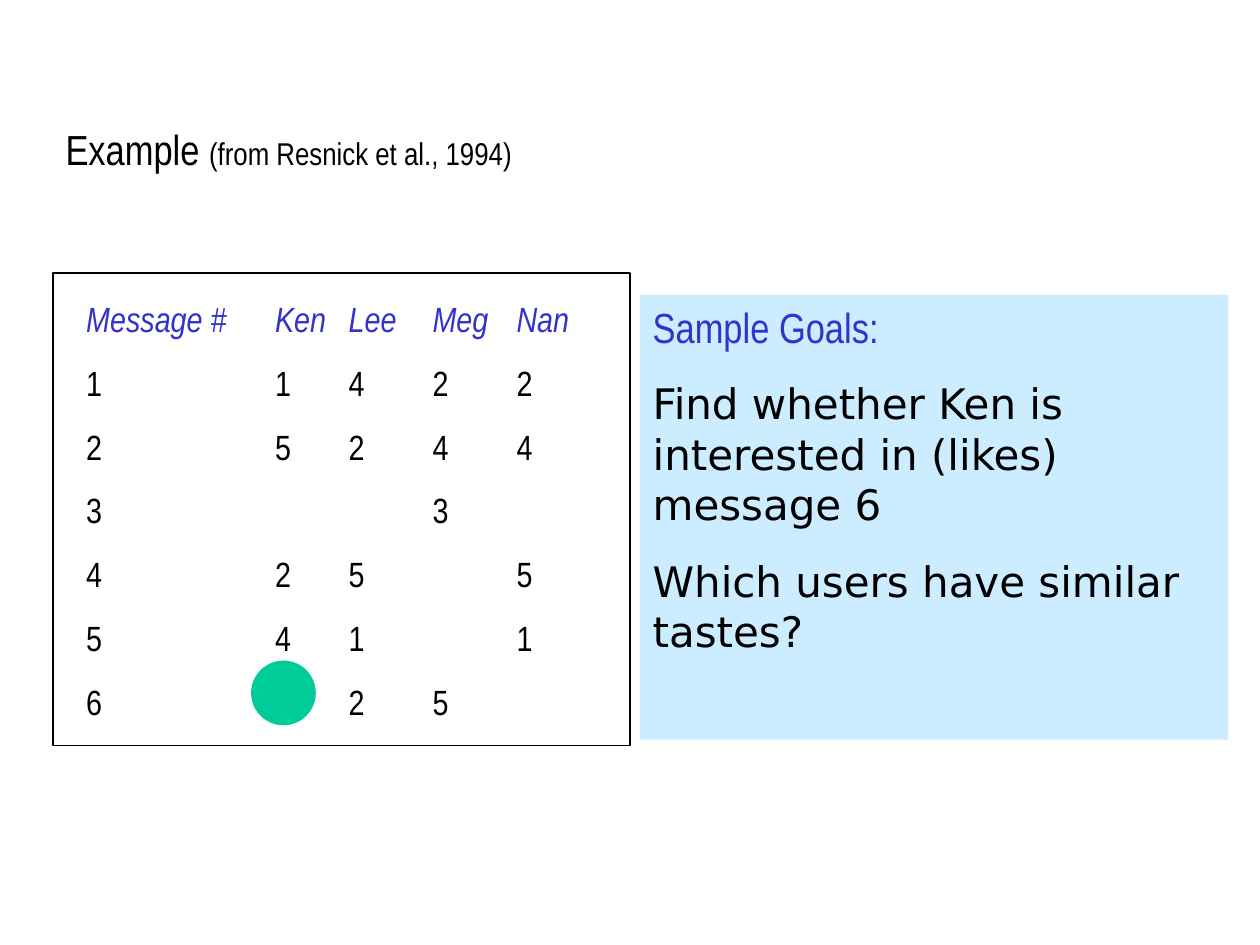
from lxml import etree
from pptx import Presentation
from pptx.dml.color import RGBColor
from pptx.enum.shapes import MSO_SHAPE
from pptx.enum.text import MSO_ANCHOR, MSO_AUTO_SIZE, PP_ALIGN
from pptx.oxml.ns import qn
from pptx.util import Pt

LEFT, TOP, MIDDLE = PP_ALIGN.LEFT, MSO_ANCHOR.TOP, MSO_ANCHOR.MIDDLE
NO_AUTOFIT = MSO_AUTO_SIZE.NONE
OVAL, RECTANGLE = MSO_SHAPE.OVAL, MSO_SHAPE.RECTANGLE

THEME = {
    "ink": RGBColor(0x00, 0x00, 0x00),
    "accent": RGBColor(0x33, 0x33, 0xCC),
    "panel": RGBColor(0xCC, 0xEC, 0xFF),
    "marker": RGBColor(0x00, 0xCC, 0x99),
    "narrow": "Arial Narrow",
    "wide": "DejaVu Sans",
    "large": Pt(24),
    "medium": Pt(20),
    "small": Pt(18),
}


def add_span(para, text, color, size, face="narrow", italic=False):
    span = para.add_run()
    span.text = text
    font_values = {"name": THEME[face], "size": THEME[size], "italic": italic}
    for name, value in font_values.items():
        setattr(span.font, name, value)
    span.font.color.rgb = THEME[color]


def place(box, left, top, width, height):
    box.left, box.top, box.width, box.height = map(Pt, (left, top, width, height))


deck = Presentation()
deck.slide_width, deck.slide_height = Pt(720), Pt(540)
page = deck.slides.add_slide(deck.slide_layouts[1])
title, goals = page.placeholders

# Title
place(title, 30.24, 67, 545.76, 36)
frame_values = {"vertical_anchor": MIDDLE, "auto_size": NO_AUTOFIT, "word_wrap": True}
for name, value in frame_values.items():
    setattr(title.text_frame, name, value)
para = title.text_frame.paragraphs[0]
para.alignment = LEFT
add_span(para, "Example ", "ink", "large")
add_span(para, "(from Resnick et al., 1994)", "ink", "small")

# Sample goals
place(goals, 365.76, 168.5, 336.24, 254.2)
goals.fill.solid()
goals.fill.fore_color.rgb = THEME["panel"]
frame_values["vertical_anchor"] = TOP
for name, value in frame_values.items():
    setattr(goals.text_frame, name, value)
goal_lines = [
    ("Sample Goals:", "accent", "narrow"),
    ("Find whether Ken is interested in (likes) message 6", "ink", "wide"),
    ("Which users have similar tastes?", "ink", "wide"),
]
for index, (text, color, face) in enumerate(goal_lines):
    para = goals.text_frame.add_paragraph() if index else goals.text_frame.paragraphs[0]
    para.space_before = Pt(15)
    properties = para._p.get_or_add_pPr()
    properties.set("marL", "0")
    properties.set("indent", "0")
    etree.SubElement(properties, qn("a:buNone"))
    add_span(para, text, color, "large", face)

# Ratings of each message by each user
ratings = [
    ("Message #", "Ken", "Lee", "Meg", "Nan"),
    ("1", "1", "4", "2", "2"),
    ("2", "5", "2", "4", "4"),
    ("3", "", "", "3", ""),
    ("4", "2", "5", "", "5"),
    ("5", "4", "1", "", "1"),
    ("6", "", "2", "5", ""),
]
column_widths = [108, 42, 48, 48, 60]
row_height = 36.5
table = page.shapes.add_table(
    len(ratings), len(column_widths), Pt(42), Pt(166.5),
    Pt(sum(column_widths)), Pt(row_height * len(ratings)),
).table
table.first_row = table.horz_banding = False
for column, width in zip(table.columns, column_widths):
    column.width = Pt(width)
cell_values = {
    "margin_left": Pt(7.2), "margin_right": 0,
    "margin_top": 0, "margin_bottom": 0, "vertical_anchor": MIDDLE,
}
for row_index, row in enumerate(ratings):
    table.rows[row_index].height = Pt(row_height)
    is_header = row_index == 0
    for column_index, text in enumerate(row):
        cell = table.cell(row_index, column_index)
        cell.fill.background()
        for name, value in cell_values.items():
            setattr(cell, name, value)
        para = cell.text_frame.paragraphs[0]
        para.font.size = THEME["medium"]
        if text:
            add_span(para, text, "accent" if is_header else "ink", "medium", italic=is_header)

# Marker on the unknown rating, and the frame around the table
outlines = [
    (OVAL, (144, 378, 36, 36), "marker", "marker"),
    (RECTANGLE, (30.24, 156, 329.76, 270), None, "ink"),
]
for kind, bounds, fill, line in outlines:
    shape = page.shapes.add_shape(kind, *map(Pt, bounds))
    shape.shadow.inherit = False
    if fill:
        shape.fill.solid()
        shape.fill.fore_color.rgb = THEME[fill]
    else:
        shape.fill.background()
    shape.line.color.rgb = THEME[line]
    shape.line.width = Pt(1)

deck.save("out.pptx")
